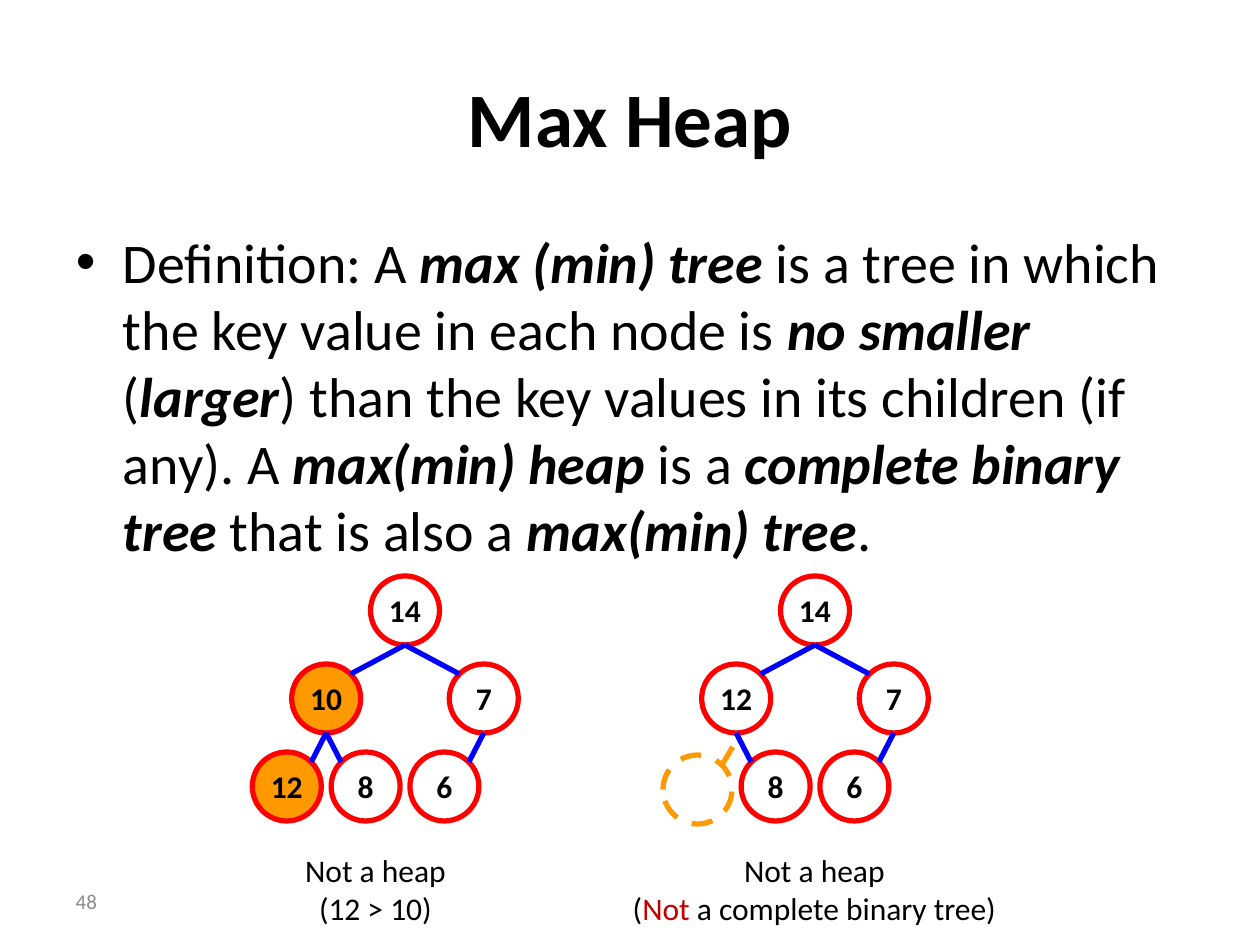
import pptx
import pptx.util
import pptx.dml.color
import pptx.enum.dml
import pptx.enum.shapes
import pptx.enum.text
import pptx.oxml.ns
from lxml import etree

PX = 914400 / 126
FONT = "Calibri"
COLORS = {
    "text": "000000", "node": "FF0000", "edge": "0000FF",
    "wrong": "FF9900", "alert": "C00000", "number": "8C8C8C",
}
ALIGN = pptx.enum.text.PP_ALIGN
ANCHOR = pptx.enum.text.MSO_ANCHOR
DASH = pptx.enum.dml.MSO_LINE.DASH

NODE = 69
HALF_GAP = 39.4  # half the distance between neighbouring leaves
ROOT_TOP = 576
ROW_STEP = 88
INSET = 13
CORNER = 10  # where an edge meets the rim of a child

# Each node: slot (in half gaps from the root), row, parent slot
POSITIONS = [(0, 0, None), (-2, 1, 0), (2, 1, 0), (-3, 2, -2), (-1, 2, -2), (1, 2, 2)]
DEFINITION = [
    ("Definition: A ", False), ("max (min) tree", True),
    (" is a tree in which the key value in each node is ", False),
    ("no smaller", True), (" (", False), ("larger", True),
    (") than the key values in its children (if any). A ", False),
    ("max(min) heap ", True), ("is a ", False), ("complete binary tree ", True),
    ("that is also a ", False), ("max(min) tree", True), (".", False),
]


def px(length):
    return pptx.util.Emu(round(length * PX))


def rgb(name):
    return pptx.dml.color.RGBColor.from_string(COLORS[name])


def add_box(slide, left, top, width, height, anchor=ANCHOR.TOP, inset=6, wrap=True):
    """Add an empty text box and return its text frame."""
    frame = slide.shapes.add_textbox(px(left), px(top), px(width), px(height)).text_frame
    frame.word_wrap = wrap
    frame.vertical_anchor = anchor
    frame.margin_left = frame.margin_right = px(INSET)
    frame.margin_top = frame.margin_bottom = px(inset)
    return frame


def add_run(paragraph, text, size, color="text", bold=False, italic=False):
    run = paragraph.add_run()
    run.text = text
    run.font.name = FONT
    run.font.size = pptx.util.Pt(size)
    run.font.bold = bold
    run.font.italic = italic
    run.font.color.rgb = rgb(color)


def add_bullet(paragraph, indent):
    properties = paragraph._p.get_or_add_pPr()
    properties.set("marL", str(px(indent)))
    properties.set("indent", str(-px(indent)))
    for tag, key, value in (("a:buFont", "typeface", "Arial"), ("a:buChar", "char", "•")):
        etree.SubElement(properties, pptx.oxml.ns.qn(tag)).set(key, value)


def style_line(line, color, dashed):
    line.color.rgb = rgb(color)
    line.width = pptx.util.Pt(3)
    if dashed:
        line.dash_style = DASH


def add_node(slide, left, top, fill=None, color="node", dashed=False):
    shape = slide.shapes.add_shape(
        pptx.enum.shapes.MSO_SHAPE.OVAL, px(left), px(top), px(NODE), px(NODE))
    shape.shadow.inherit = False
    if fill:
        shape.fill.solid()
        shape.fill.fore_color.rgb = rgb(fill)
    else:
        shape.fill.background()
    style_line(shape.line, color, dashed)


def add_edge(slide, start, end, color="edge", dashed=False):
    connector = slide.shapes.add_connector(
        pptx.enum.shapes.MSO_CONNECTOR.STRAIGHT, *map(px, start + end))
    style_line(connector.line, color, dashed)
    etree.SubElement(connector._element.spPr, pptx.oxml.ns.qn("a:effectLst"))


def add_label(slide, center, top, text):
    width = 78 if len(text) > 1 else 48
    frame = add_box(slide, center - width / 2, top - 4, width, 83, inset=19, wrap=False)
    frame.paragraphs[0].alignment = ALIGN.CENTER
    add_run(frame.paragraphs[0], text, 18, bold=True)


def add_tree(slide, root_center, keys, wrong_keys=()):
    """Draw keys in level order; None leaves a position empty."""
    placed = [(key, *position) for key, position in zip(keys, POSITIONS) if key]
    for key, slot, row, _ in placed:
        add_node(slide, root_center + slot * HALF_GAP - NODE / 2, ROOT_TOP + row * ROW_STEP,
                 fill="wrong" if key in wrong_keys else None)
    for key, slot, row, parent in placed:
        center = root_center + slot * HALF_GAP
        top = ROOT_TOP + row * ROW_STEP
        if parent is not None:
            side = 1 if slot < parent else -1
            rim = (center + side * (NODE / 2 - CORNER), top + CORNER)
            parent_bottom = (root_center + parent * HALF_GAP, top - ROW_STEP + NODE)
            add_edge(slide, rim, parent_bottom)
        add_label(slide, center, top, key)


def add_caption(slide, left, width, lines):
    frame = add_box(slide, left, 832, width, 113, inset=19)
    for index, line in enumerate(lines):
        paragraph = frame.add_paragraph() if index else frame.paragraphs[0]
        paragraph.alignment = ALIGN.CENTER
        for text, color in line:
            add_run(paragraph, text, 18, color)


def add_title(slide, text):
    paragraph = add_box(slide, 63, 38, 1134, 157, ANCHOR.MIDDLE).paragraphs[0]
    paragraph.alignment = ALIGN.CENTER
    add_run(paragraph, text, 44, bold=True)


def add_definition(slide):
    paragraph = add_box(slide, 63, 221, 1134, 624).paragraphs[0]
    add_bullet(paragraph, 47)
    for text, strong in DEFINITION:
        add_run(paragraph, text, 32, bold=strong, italic=strong)


def add_slide_number(slide, text):
    paragraph = add_box(slide, 0, 876, 110, 50, ANCHOR.MIDDLE).paragraphs[0]
    paragraph.alignment = ALIGN.RIGHT
    add_run(paragraph, text, 12, "number")


def main():
    presentation = pptx.Presentation()
    presentation.slide_width, presentation.slide_height = px(1260), px(945)
    slide = presentation.slides.add_slide(presentation.slide_layouts[6])

    add_title(slide, "Max Heap")
    add_definition(slide)
    add_tree(slide, 405, ["14", "10", "7", "12", "8", "6"], wrong_keys=("10", "12"))
    add_tree(slide, 815, ["14", "12", "7", None, "8", "6"])
    add_caption(slide, 213, 325, [[("Not a heap", "text")], [("(12 > 10)", "text")]])
    add_caption(slide, 561, 507, [
        [("Not a heap", "text")],
        [("(", "text"), ("Not", "alert"), (" a complete binary tree)", "text")],
    ])
    add_node(slide, 663, 755, color="wrong", dashed=True)
    add_edge(slide, (722, 765), (735, 743), color="wrong", dashed=True)
    add_slide_number(slide, "48")
    presentation.save("out.pptx")


if __name__ == "__main__":
    main()
